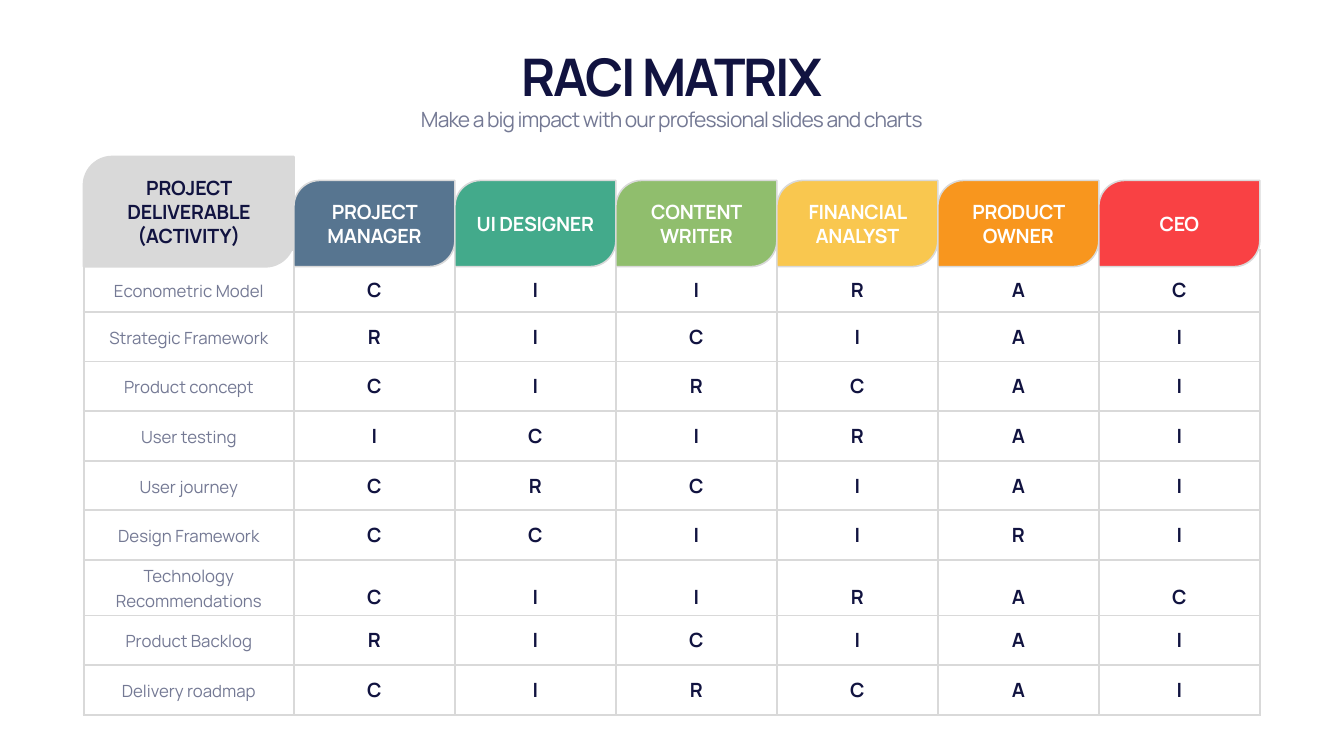
import dataclasses

import lxml.etree
import pptx
import pptx.dml.color
import pptx.enum.shapes
import pptx.enum.text
import pptx.oxml.ns
import pptx.util

SCALE = 9144
WIDTH, HEIGHT = 2666, 1500


@dataclasses.dataclass(frozen=True)
class Theme:
    font: str = "Manrope"
    ink: str = "111340"
    muted: str = "747994"
    white: str = "FFFFFF"
    grid: str = "D9D9D9"
    title: int = 74
    subtitle: int = 30
    strong: int = 28
    body: int = 24
    body_leading: int = 36
    border: float = 3
    role_border: float = 2.25


@dataclasses.dataclass(frozen=True)
class Box:
    x: float
    y: float
    w: float
    h: float

    def emu(self):
        return [px(v) for v in (self.x, self.y, self.w, self.h)]


THEME = Theme()
ANCHOR = pptx.enum.text.MSO_ANCHOR
ACTIVITY_HEADER = "PROJECT DELIVERABLE (ACTIVITY)"
ROLES = [
    ("PROJECT MANAGER", "577590"),
    ("UI DESIGNER", "43AA8B"),
    ("CONTENT WRITER", "90BE6D"),
    ("FINANCIAL ANALYST", "F9C74F"),
    ("PRODUCT OWNER", "F8961E"),
    ("CEO", "F94144"),
]
ACTIVITIES = [
    ("Econometric Model", "CIIRAC"),
    ("Strategic Framework", "RICIAI"),
    ("Product concept", "CIRCAI"),
    ("User testing", "ICIRAI"),
    ("User journey", "CRCIAI"),
    ("Design Framework", "CCIIRI"),
    ("Technology Recommendations", "CIIRAC"),
    ("Product Backlog", "RICIAI"),
    ("Delivery roadmap", "CIRCAI"),
]
ACTIVITY_W = 417
TALL_ROWS = {0: 123, 6: 109}
LOW_CELLS = {(0, 0)} | {(r, c) for r in TALL_ROWS for c in range(1, len(ROLES) + 1)}


def px(value):
    return pptx.util.Emu(round(value * SCALE))


def rgb(value):
    return pptx.dml.color.RGBColor.from_string(value)


def write(tf, text, size, color, bold=False, spacing=0):
    p = tf.paragraphs[0]
    p.alignment = pptx.enum.text.PP_ALIGN.CENTER
    p.font.name = THEME.font
    p.font.size = pptx.util.Pt(size)
    p.font.bold = bold
    p.font.color.rgb = rgb(color)
    r = p.add_run()
    r.text = text
    if spacing:
        r.font._element.set("spc", str(round(spacing * 100)))
    return p


def set_frame(tf, anchor):
    tf.word_wrap = True
    tf.auto_size = pptx.enum.text.MSO_AUTO_SIZE.NONE
    tf.vertical_anchor = anchor
    tf.margin_left = tf.margin_right = px(10)
    tf.margin_top = tf.margin_bottom = px(5)


def add_heading(s, box):
    title = s.shapes.title
    title.left, title.top, title.width, title.height = Box(box.x, box.y, box.w, 135).emu()
    set_frame(title.text_frame, ANCHOR.BOTTOM)
    write(title.text_frame, "RACI MATRIX", THEME.title, THEME.ink, True, -2.9)
    sp = s.shapes.add_textbox(*Box(box.x, box.y + 125, box.w, 61).emu())
    set_frame(sp.text_frame, ANCHOR.TOP)
    write(sp.text_frame, "Make a big impact with our professional slides and charts",
          THEME.subtitle, THEME.muted, spacing=-1.2)


def add_header(s, box, text, fill, color, corner, border):
    sp = s.shapes.add_shape(
        pptx.enum.shapes.MSO_SHAPE.ROUND_2_DIAG_RECTANGLE, *box.emu())
    sp.adjustments[0] = corner
    sp.adjustments[1] = 0
    sp.shadow.inherit = False
    sp.fill.solid()
    sp.fill.fore_color.rgb = rgb(fill)
    sp.line.color.rgb = rgb(THEME.grid)
    sp.line.width = pptx.util.Pt(border)
    set_frame(sp.text_frame, ANCHOR.MIDDLE)
    write(sp.text_frame, text, THEME.strong, color, True, -0.3)


def set_borders(cell):
    tc_pr = cell._tc.get_or_add_tcPr()
    qn = pptx.oxml.ns.qn
    for i, side in enumerate(("a:lnL", "a:lnR", "a:lnT", "a:lnB")):
        ln = lxml.etree.Element(qn(side), w=str(pptx.util.Pt(THEME.border)))
        fill = lxml.etree.SubElement(ln, qn("a:solidFill"))
        lxml.etree.SubElement(fill, qn("a:srgbClr"), val=THEME.grid)
        tc_pr.insert(i, ln)


def add_matrix(s, box, role_w):
    rows, cols = len(ACTIVITIES), len(ROLES) + 1
    table = s.shapes.add_table(rows, cols, *box.emu()).table
    table.first_row = table.horz_banding = False
    for c in range(cols):
        table.columns[c].width = px(role_w if c else ACTIVITY_W)
    row_h = (box.h - sum(TALL_ROWS.values())) / (rows - len(TALL_ROWS))
    for r, (activity, codes) in enumerate(ACTIVITIES):
        table.rows[r].height = px(TALL_ROWS.get(r, row_h))
        for c, text in enumerate([activity, *codes]):
            cell = table.cell(r, c)
            cell.fill.background()
            set_borders(cell)
            cell.vertical_anchor = ANCHOR.MIDDLE
            cell.margin_left = cell.margin_right = px(10)
            cell.margin_top = px(40 if (r, c) in LOW_CELLS else 5)
            cell.margin_bottom = px(5)
            if c:
                write(cell.text_frame, text, THEME.strong, THEME.ink, True)
            else:
                p = write(cell.text_frame, text, THEME.body, THEME.muted)
                p.line_spacing = pptx.util.Pt(THEME.body_leading)


def add_raci(s, box):
    role_w = (box.w - ACTIVITY_W) / len(ROLES)
    add_header(s, Box(box.x, box.y, ACTIVITY_W, 218), ACTIVITY_HEADER,
               THEME.grid, THEME.ink, 0.26, THEME.border)
    add_matrix(s, Box(box.x, box.y + 185, box.w, box.h - 185), role_w)
    for i, (role, fill) in enumerate(ROLES):
        x = box.x + ACTIVITY_W + i * role_w
        add_header(s, Box(x, box.y + 47, role_w, 171), role,
                   fill, THEME.white, 0.3, THEME.role_border)


def main():
    prs = pptx.Presentation()
    prs.slide_width, prs.slide_height = px(WIDTH), px(HEIGHT)
    s = prs.slides.add_slide(prs.slide_layouts[5])
    s.background.fill.solid()
    s.background.fill.fore_color.rgb = rgb(THEME.white)
    add_heading(s, Box(166, 82, 2333, 186))
    add_raci(s, Box(166, 311, 2333, 1106))
    prs.save("out.pptx")


if __name__ == "__main__":
    main()
